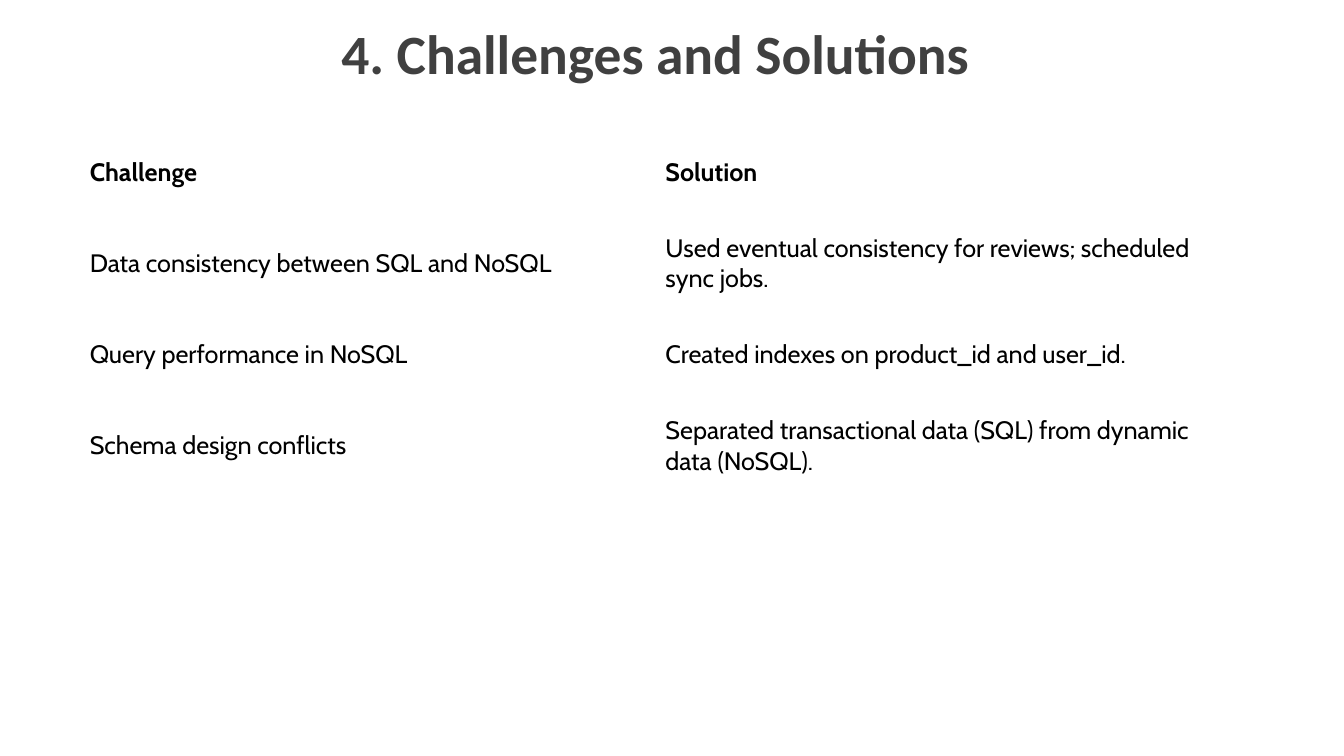
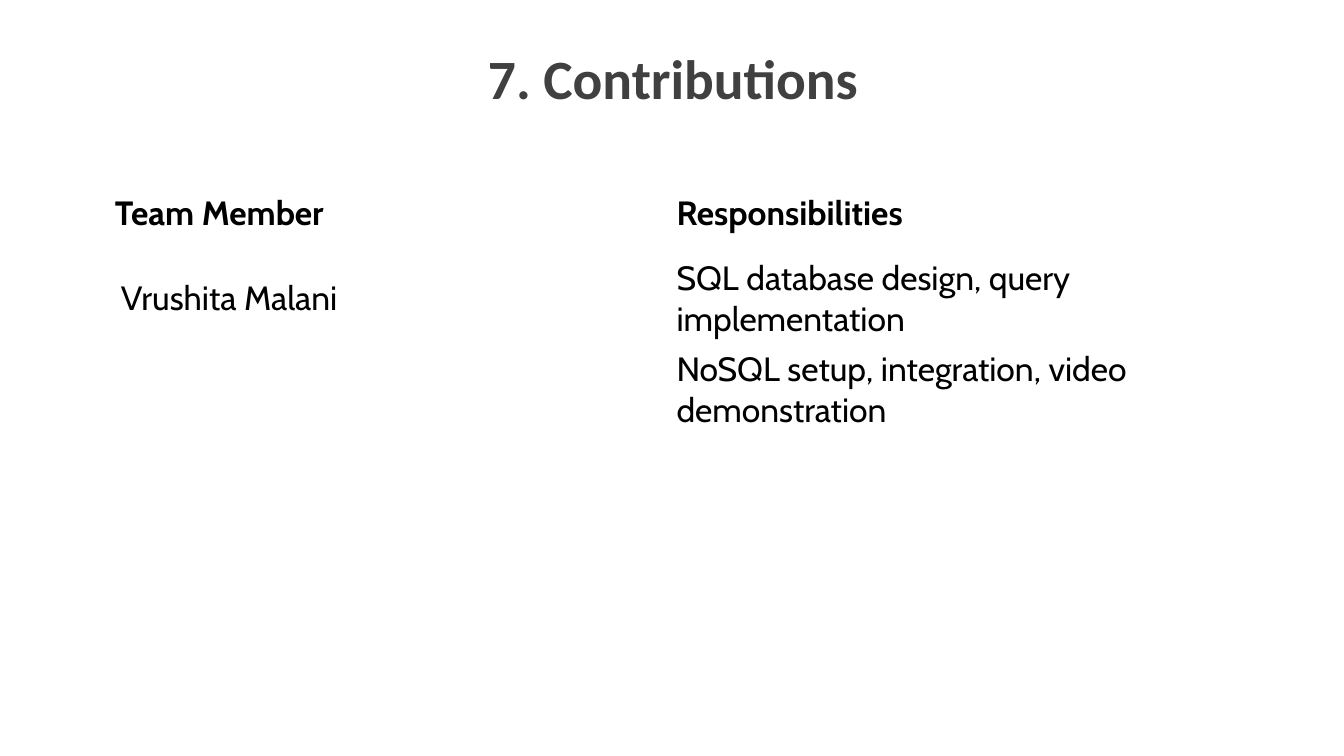
import pptx
import pptx.dml.color
import pptx.enum.text
import pptx.util

Inches = pptx.util.Inches
Pt = pptx.util.Pt

THEME = {
    "title": {"name": "Calibri", "size": Pt(39.6), "bold": True, "color": "404040"},
    "body": {"name": "Cabin", "bold": False, "color": "000000"},
}
MIDDLE = pptx.enum.text.MSO_ANCHOR.MIDDLE
CELL_INDENT = 0.1

SLIDES = [
    {
        "title": "4. Challenges and Solutions",
        "title_box": (1.28, 0.35, 10.44, 1.03),
        "table_at": (0.79, 1.38),
        "col_width": 5.71,
        "row_heights": [0.66, 1.15, 0.66, 1.15],
        "size": Pt(18),
        "rows": [
            ("Challenge", "Solution"),
            ("Data consistency between SQL and NoSQL",
             "Used eventual consistency for reviews; scheduled sync jobs."),
            ("Query performance in NoSQL",
             "Created indexes on product_id and user_id."),
            ("Schema design conflicts",
             "Separated transactional data (SQL) from dynamic data (NoSQL)."),
        ],
        "first_col_indents": [CELL_INDENT] * 4,
    },
    {
        "title": "7. Contributions",
        "title_box": (0.82, 0.5, 11.71, 1.22),
        "table_at": (0.8, 1.72),
        "col_width": 5.81,
        "row_heights": [0.79] * 3,
        "size": Pt(24),
        "rows": [
            ("Team Member", "Responsibilities"),
            ("Vrushita Malani", "SQL database design, query implementation"),
            ("", "NoSQL setup, integration, video demonstration"),
        ],
        "first_col_indents": [0.34, 0.4, CELL_INDENT],
    },
]


def add_run(p, text, style):
    r = p.add_run()
    r.text = text
    for name, value in style.items():
        if name == "color":
            r.font.color.rgb = pptx.dml.color.RGBColor.from_string(value)
        else:
            setattr(r.font, name, value)


prs = pptx.Presentation()
prs.slide_width, prs.slide_height = Inches(13.33), Inches(7.5)

for content in SLIDES:
    s = prs.slides.add_slide(prs.slide_layouts[6])

    # The deep bottom inset lifts the title above the middle of its box
    tf = s.shapes.add_textbox(*map(Inches, content["title_box"])).text_frame
    for name, value in {"word_wrap": True, "vertical_anchor": MIDDLE,
                        "margin_bottom": Inches(0.65)}.items():
        setattr(tf, name, value)
    p = tf.paragraphs[0]
    p.alignment = pptx.enum.text.PP_ALIGN.CENTER
    p.line_spacing = 0.9
    add_run(p, content["title"], THEME["title"])

    rows, heights = content["rows"], content["row_heights"]
    left, top = content["table_at"]
    table = s.shapes.add_table(
        len(rows), 2, Inches(left), Inches(top),
        Inches(2 * content["col_width"]), Inches(sum(heights))).table
    table.first_row = table.horz_banding = False
    for column in table.columns:
        column.width = Inches(content["col_width"])

    for i, texts in enumerate(rows):
        table.rows[i].height = Inches(heights[i])
        indents = (content["first_col_indents"][i], CELL_INDENT)
        for j, text in enumerate(texts):
            cell = table.cell(i, j)
            cell.fill.background()
            cell.vertical_anchor = MIDDLE
            cell.margin_left = Inches(indents[j])
            if text:
                style = {**THEME["body"], "size": content["size"], "bold": i == 0}
                add_run(cell.text_frame.paragraphs[0], text, style)

prs.save("out.pptx")
